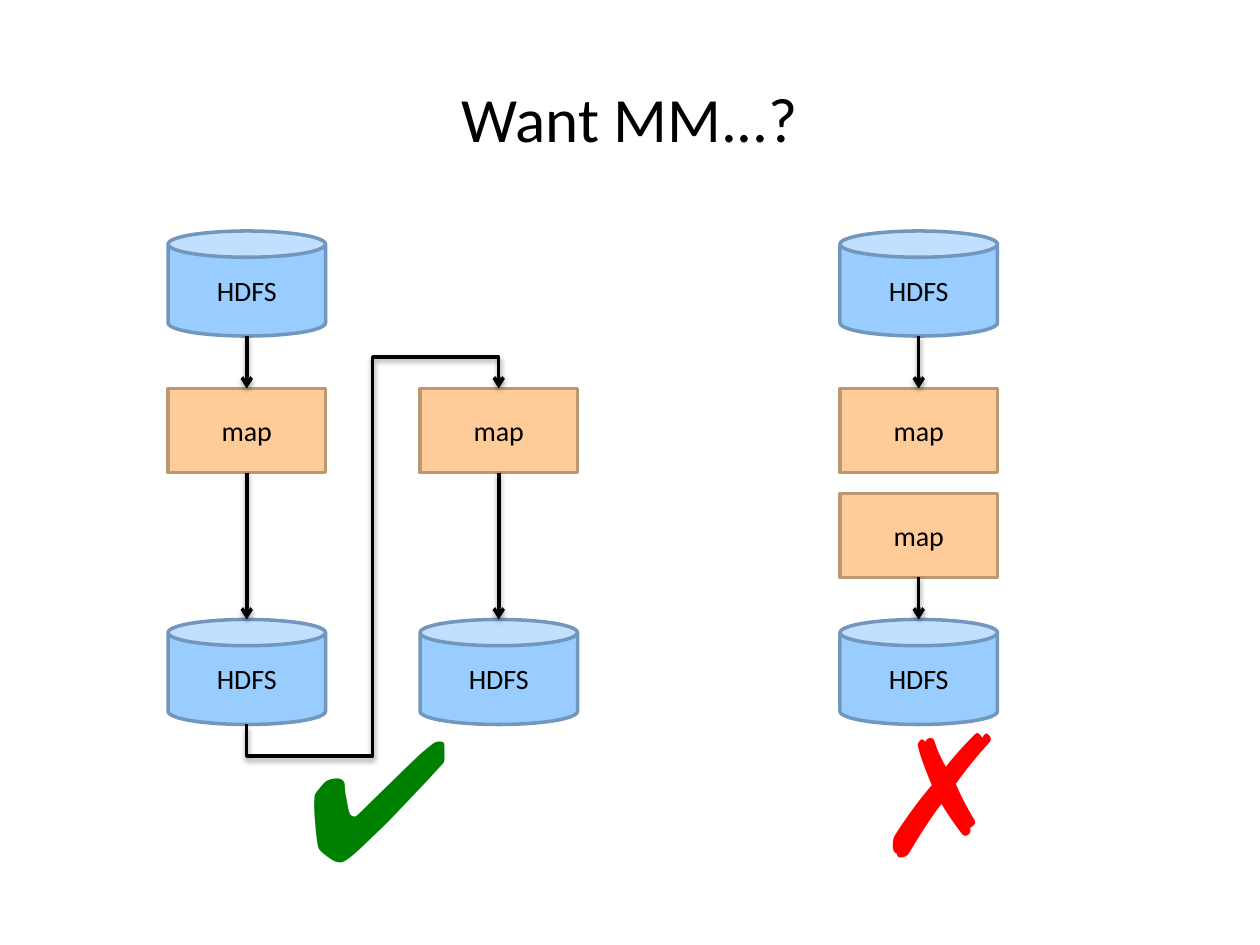
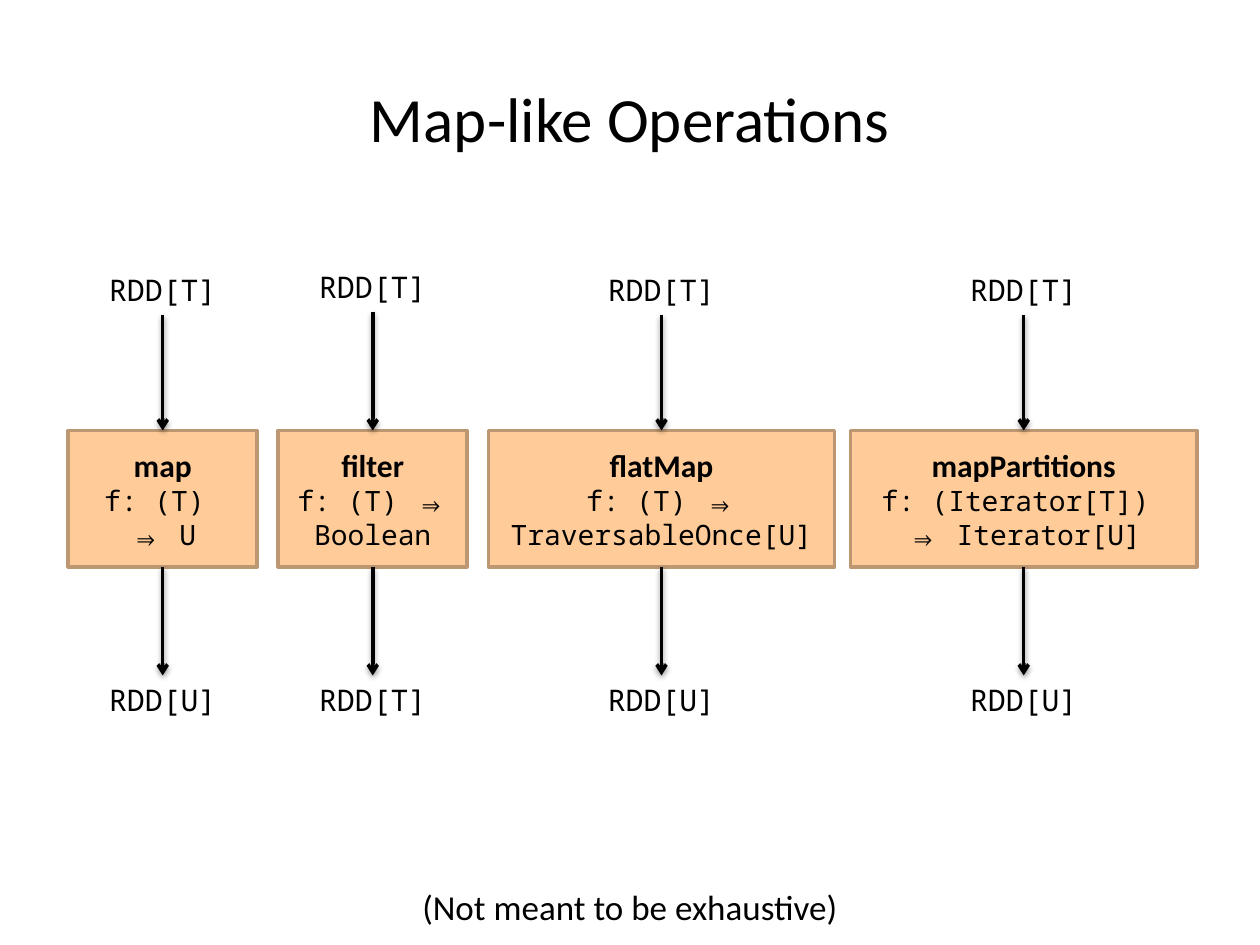
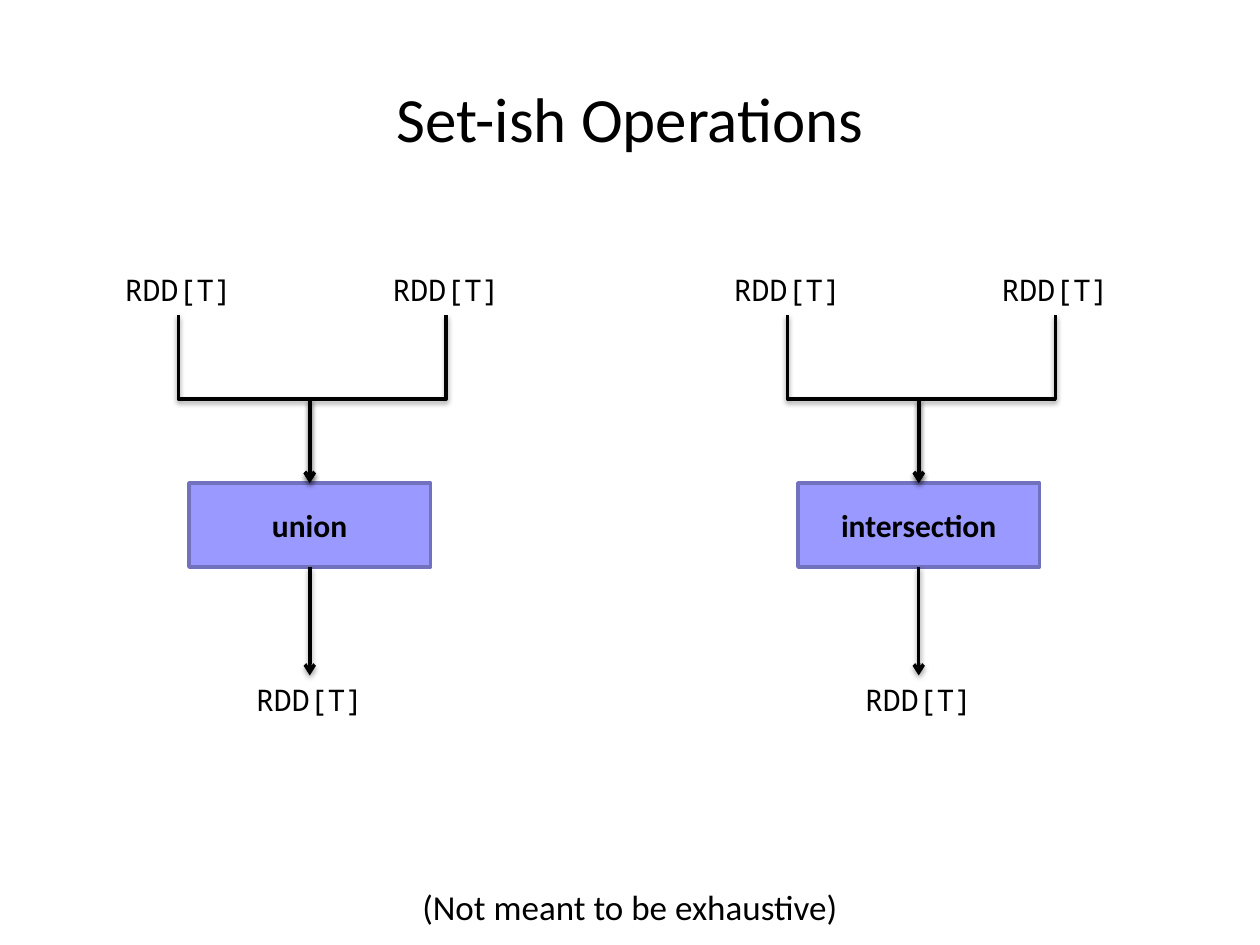
from lxml import etree
from pptx import Presentation
from pptx import util as u
from pptx.dml.color import RGBColor
from pptx.enum import shapes, text
from pptx.oxml import ns, parse_xml

# Grid of twelfths of an inch
COLUMNS, ROWS = 120, 90
BLACK, GREEN, RED = "000000", "008000", "FF0000"
ORANGE = ("FFCC99", "BD9771")
BLUE = ("99CCFF", "7197BD")
VIOLET = ("9999FF", "7171BD")
SANS, MONO, SYMBOL = "Calibri", "Noto Sans Mono", "Arial"
RECT = shapes.MSO_SHAPE.RECTANGLE
CAN = shapes.MSO_SHAPE.CAN
SHADOW = (
    f'<a:effectLst {ns.nsdecls("a")}>'
    '<a:outerShdw blurRad="40000" dist="20000" dir="5400000" rotWithShape="0">'
    '<a:srgbClr val="000000"><a:alpha val="38000"/></a:srgbClr>'
    '</a:outerShdw></a:effectLst>'
)


def color(value):
    return RGBColor.from_string(value)


def is_rectangle(shape):
    return (shape.shape_type == shapes.MSO_SHAPE_TYPE.TEXT_BOX
            or shape.auto_shape_type == RECT)


def bottom(shape):
    return shape.left + shape.width // 2, shape.top + shape.height


def top(shape):
    return shape.left + shape.width // 2, shape.top


class Deck:
    def __init__(self):
        self.prs = Presentation()
        self.prs.slide_width, self.prs.slide_height = u.Inches(10), u.Inches(7.5)
        self.column = self.prs.slide_width / COLUMNS
        self.row = self.prs.slide_height / ROWS

    def start(self, title):
        self.slide = self.prs.slides.add_slide(self.prs.slide_layouts[6])
        self.caption(title, 0, 7, COLUMNS, 9, 36, grow=False)

    def footnote(self):
        self.caption("(Not meant to be exhaustive)", 0, 83.75, COLUMNS, 5.25, 20)

    def place(self, left, top_row, width, height):
        return [int(n) for n in (left * self.column, top_row * self.row,
                                 width * self.column, height * self.row)]

    def style(self, font, size, face, bold=False, ink=BLACK):
        font.size, font.name, font.bold = u.Pt(size), face, bold
        font.color.rgb = color(ink)

    def label(self, shape, words, size, face, bold=False, ink=BLACK):
        paragraph = shape.text_frame.paragraphs[0]
        paragraph.text = words
        paragraph.alignment = text.PP_ALIGN.CENTER
        self.style(paragraph.font, size, face, bold, ink)
        return paragraph

    def caption(self, words, left, top_row, width, height, size, face=SANS,
                grow=True, wrap=True, bold=False, ink=BLACK):
        box = self.slide.shapes.add_textbox(*self.place(left, top_row, width, height))
        fit = text.MSO_AUTO_SIZE
        box.text_frame.word_wrap = wrap
        box.text_frame.auto_size = fit.SHAPE_TO_FIT_TEXT if grow else fit.NONE
        self.label(box, words, size, face, bold, ink)
        return box

    def rdd(self, kind, center, top_row, width=14):
        return self.caption(f"RDD[{kind}]", center - width / 2, top_row,
                            width, 4.67, 17, MONO)

    def mark(self, symbol, left, top_row, width, ink):
        self.caption(symbol, left, top_row, width, 20.6, 96, SYMBOL,
                     wrap=False, bold=True, ink=ink)

    def node(self, words, left, top_row, width, height, colors,
             form=RECT, size=16, bold=False):
        shape = self.slide.shapes.add_shape(
            form, *self.place(left, top_row, width, height))
        fill, edge = colors
        shape.shadow.inherit = False
        shape.fill.solid()
        shape.fill.fore_color.rgb = color(fill)
        shape.line.color.rgb = color(edge)
        shape.line.width = u.Pt(2)
        shape.text_frame.vertical_anchor = text.MSO_ANCHOR.MIDDLE
        self.label(shape, words, size, SANS, bold)
        return shape

    def hdfs(self, left, top_row):
        return self.node("HDFS", left, top_row, 15, 10, BLUE, CAN)

    def map_step(self, left, top_row):
        return self.node("map", left, top_row, 15, 8, ORANGE)

    def operation(self, name, signature, left, width):
        shape = self.node("", left, 41, width, 13, ORANGE)
        paragraph = self.label(shape, f"{name}\v{signature}", 16, MONO)
        self.style(paragraph.runs[0].font, 18, SANS, bold=True)
        return shape

    def connector(self, kind, begin, end):
        link = self.slide.shapes.add_connector(kind, *begin, *end)
        link.line.color.rgb = color(BLACK)
        link.line.width = u.Pt(2)
        properties = link._element.spPr
        etree.SubElement(properties.find(ns.qn("a:ln")), ns.qn("a:tailEnd"),
                         type="arrow")
        properties.append(parse_xml(SHADOW))
        return link

    def arrow(self, upper, lower):
        link = self.connector(shapes.MSO_CONNECTOR.STRAIGHT, bottom(upper), top(lower))
        if is_rectangle(upper):
            link.begin_connect(upper, 2)
        if is_rectangle(lower):
            link.end_connect(lower, 0)

    def elbow(self, source, target, overhang=0):
        """Leave source downwards and enter target from above."""
        (x1, y1), (x2, y2) = bottom(source), top(target)
        across, down = (x2 - x1) // 2, (y2 - y1) // 2
        x, y = (x1 + x2) // 2, (y1 + y2) // 2
        # A quarter turn makes the first and last legs vertical
        link = self.connector(shapes.MSO_CONNECTOR.ELBOW,
                              (x - down, y + across), (x + down, y - across))
        properties = link._element.spPr
        properties.find(ns.qn("a:xfrm")).set("rot", "5400000")
        if overhang:
            share = overhang * self.row / (y2 - y1)
            geometry = properties.find(ns.qn("a:prstGeom"))
            geometry.set("prst", "bentConnector5")
            guides = geometry.find(ns.qn("a:avLst"))
            if guides is None:
                guides = etree.SubElement(geometry, ns.qn("a:avLst"))
            for number, place in enumerate((share, 0.5, 1 - share), 1):
                etree.SubElement(guides, ns.qn("a:gd"), name=f"adj{number}",
                                 fmla=f"val {round(place * 100000)}")


def want_mm(deck):
    deck.start("Want MM...?")
    # Two chained jobs
    source, middle, result = deck.hdfs(16, 22), deck.hdfs(16, 59), deck.hdfs(40, 59)
    first, second = deck.map_step(16, 37), deck.map_step(40, 37)
    for upper, lower in ((source, first), (first, middle), (second, result)):
        deck.arrow(upper, lower)
    deck.elbow(middle, second, overhang=3)
    # Two maps in one job
    source, result = deck.hdfs(80, 22), deck.hdfs(80, 59)
    first, second = deck.map_step(80, 37), deck.map_step(80, 47)
    deck.arrow(source, first)
    deck.arrow(second, result)
    # Verdicts
    deck.mark("✔", 28, 65.4, 16.1, GREEN)
    deck.mark("✗", 82, 65, 11.9, RED)


def map_like(deck):
    deck.start("Map-like Operations")
    operations = (
        ("map", "f: (T) \v⇒ U", 6.5, 18, "U", 25.33),
        ("filter", "f: (T) ⇒ Boolean", 26.5, 18, "T", 25),
        ("flatMap", "f: (T) ⇒ TraversableOnce[U]", 46.5, 33, "U", 25.33),
        ("mapPartitions", "f: (Iterator[T]) \v⇒ Iterator[U]", 81, 33, "U", 25.33),
    )
    for name, signature, left, width, output, input_row in operations:
        center = left + width / 2
        operation = deck.operation(name, signature, left, width)
        deck.arrow(deck.rdd("T", center, input_row), operation)
        deck.arrow(operation, deck.rdd(output, center, 64.33))
    deck.footnote()


def set_ish(deck):
    deck.start("Set-ish Operations")
    for name, left, output_width in (("union", 18, 49), ("intersection", 76, 61)):
        operation = deck.node(name, left, 46, 23, 8, VIOLET, size=18, bold=True)
        for offset, width in ((-1, 22), (24.5, 27)):
            deck.elbow(deck.rdd("T", left + offset, 25.33, width), operation)
        deck.arrow(operation, deck.rdd("T", left + 11.5, 64.33, output_width))
    deck.footnote()


def main():
    deck = Deck()
    for build in (want_mm, map_like, set_ish):
        build(deck)
    deck.prs.save("out.pptx")


if __name__ == "__main__":
    main()
